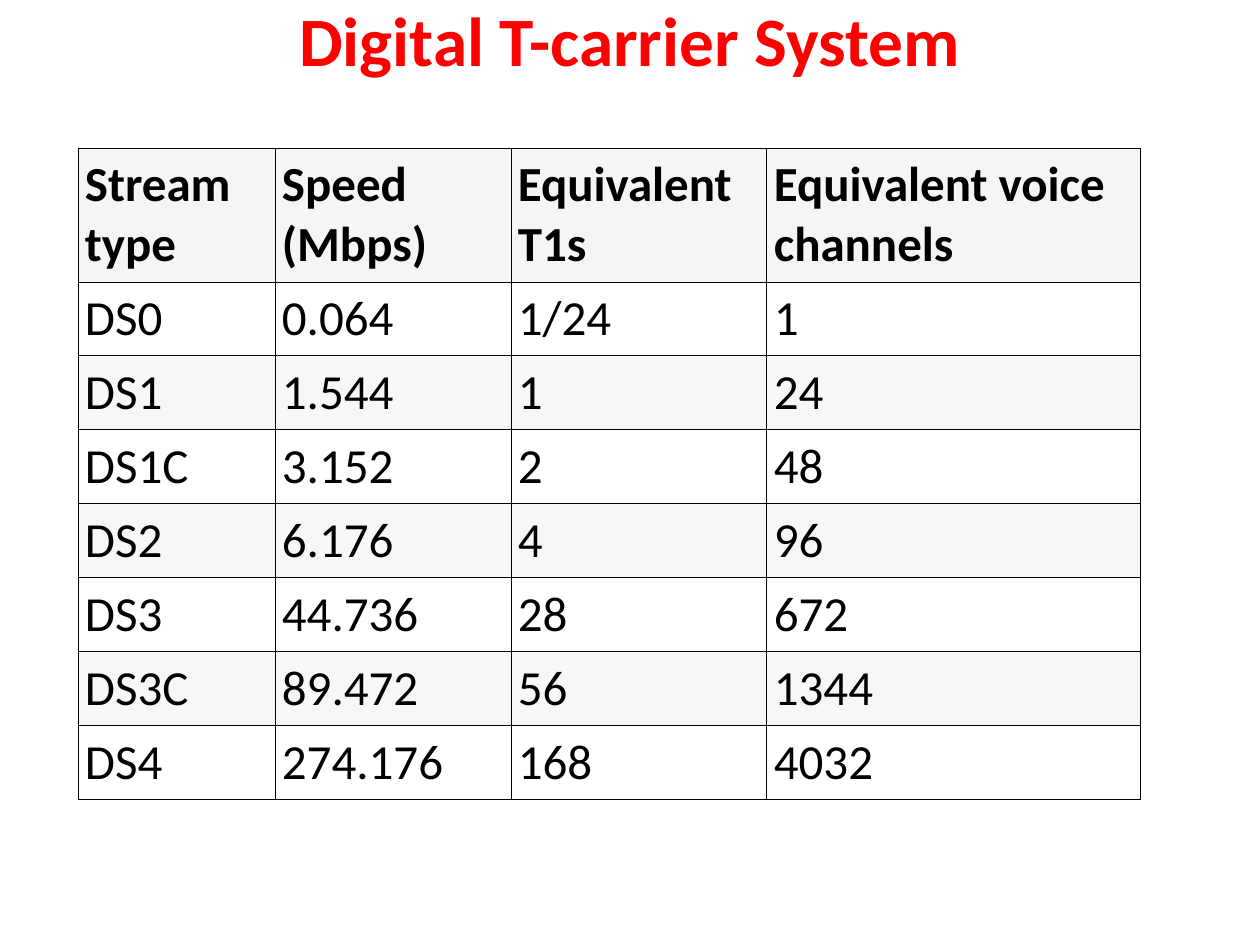
import pptx
import pptx.util
import pptx.dml.color
import pptx.enum.text
import pptx.oxml
import pptx.oxml.ns

PX = 914400 // 126
THEME = {
    "font": "Calibri",
    "title": "FF0000",
    "text": "000000",
    "border": "000000",
    "header_fill": "F5F5F5",
    "row_fills": ["F7F7F7", "FFFFFF"],
    "title_size": 39.6,
    "table_size": 28,
    "border_width": 0.6,
}


def set_font(paragraph, size, color, bold):
    paragraph.font.name = THEME["font"]
    paragraph.font.size = pptx.util.Pt(size)
    paragraph.font.bold = bold
    paragraph.font.color.rgb = pptx.dml.color.RGBColor.from_string(color)


def set_borders(cell):
    properties = cell._tc.get_or_add_tcPr()
    width = pptx.util.Pt(THEME["border_width"])
    for position, side in enumerate(["lnL", "lnR", "lnT", "lnB"]):
        border = pptx.oxml.parse_xml(
            f'<a:{side} {pptx.oxml.ns.nsdecls("a")} w="{width}"><a:solidFill>'
            f'<a:srgbClr val="{THEME["border"]}"/></a:solidFill></a:{side}>'
        )
        properties.insert(position, border)


deck = pptx.Presentation()
deck.slide_width = 1260 * PX
deck.slide_height = 945 * PX
slide = deck.slides.add_slide(deck.slide_layouts[6])

title = slide.shapes.add_textbox(0, 0, 1260 * PX, 69 * PX).text_frame
title.word_wrap = True
title.vertical_anchor = pptx.enum.text.MSO_ANCHOR.MIDDLE
title.margin_top = 8 * PX
title.margin_bottom = 0
title.text = "Digital T-carrier System"
title.paragraphs[0].alignment = pptx.enum.text.PP_ALIGN.CENTER
set_font(title.paragraphs[0], THEME["title_size"], THEME["title"], True)

carriers = [
    ["Stream type", "Speed (Mbps)", "Equivalent T1s", "Equivalent voice channels"],
    ["DS0", "0.064", "1/24", "1"],
    ["DS1", "1.544", "1", "24"],
    ["DS1C", "3.152", "2", "48"],
    ["DS2", "6.176", "4", "96"],
    ["DS3", "44.736", "28", "672"],
    ["DS3C", "89.472", "56", "1344"],
    ["DS4", "274.176", "168", "4032"],
]
column_widths = [197, 236, 256, 374]
row_heights = [134] + [74] * (len(carriers) - 1)

carrier_table = slide.shapes.add_table(
    len(carriers), len(column_widths), 78 * PX, 148 * PX,
    sum(column_widths) * PX, sum(row_heights) * PX,
).table
for column, width in zip(carrier_table.columns, column_widths):
    column.width = width * PX

for index, carrier in enumerate(carriers):
    is_header = index == 0
    fill = THEME["header_fill"] if is_header else THEME["row_fills"][index % 2]
    carrier_table.rows[index].height = row_heights[index] * PX
    for cell, value in zip(carrier_table.rows[index].cells, carrier):
        cell.text = value
        cell.vertical_anchor = pptx.enum.text.MSO_ANCHOR.MIDDLE
        cell.margin_left = cell.margin_right = 7 * PX
        cell.margin_top = cell.margin_bottom = 7 * PX
        cell.fill.solid()
        cell.fill.fore_color.rgb = pptx.dml.color.RGBColor.from_string(fill)
        set_font(cell.text_frame.paragraphs[0], THEME["table_size"], THEME["text"], is_header)
        set_borders(cell)

deck.save("out.pptx")
